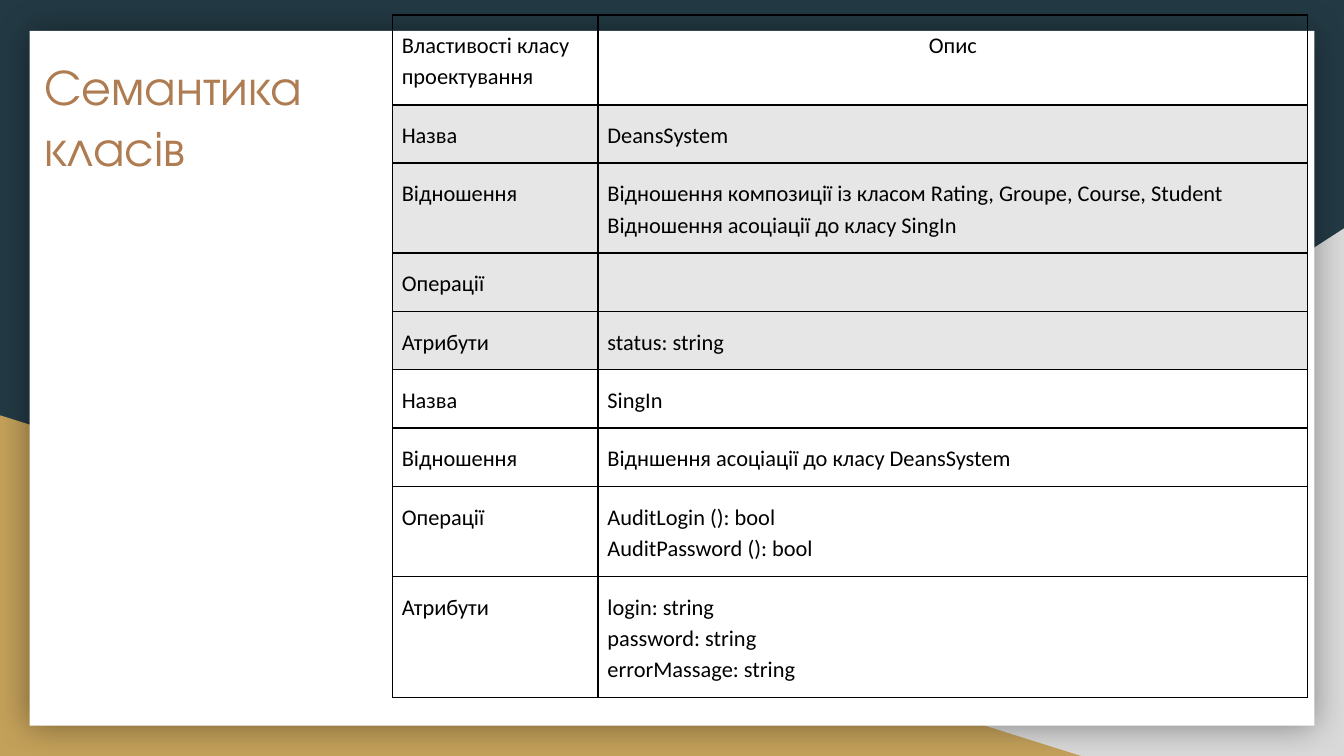
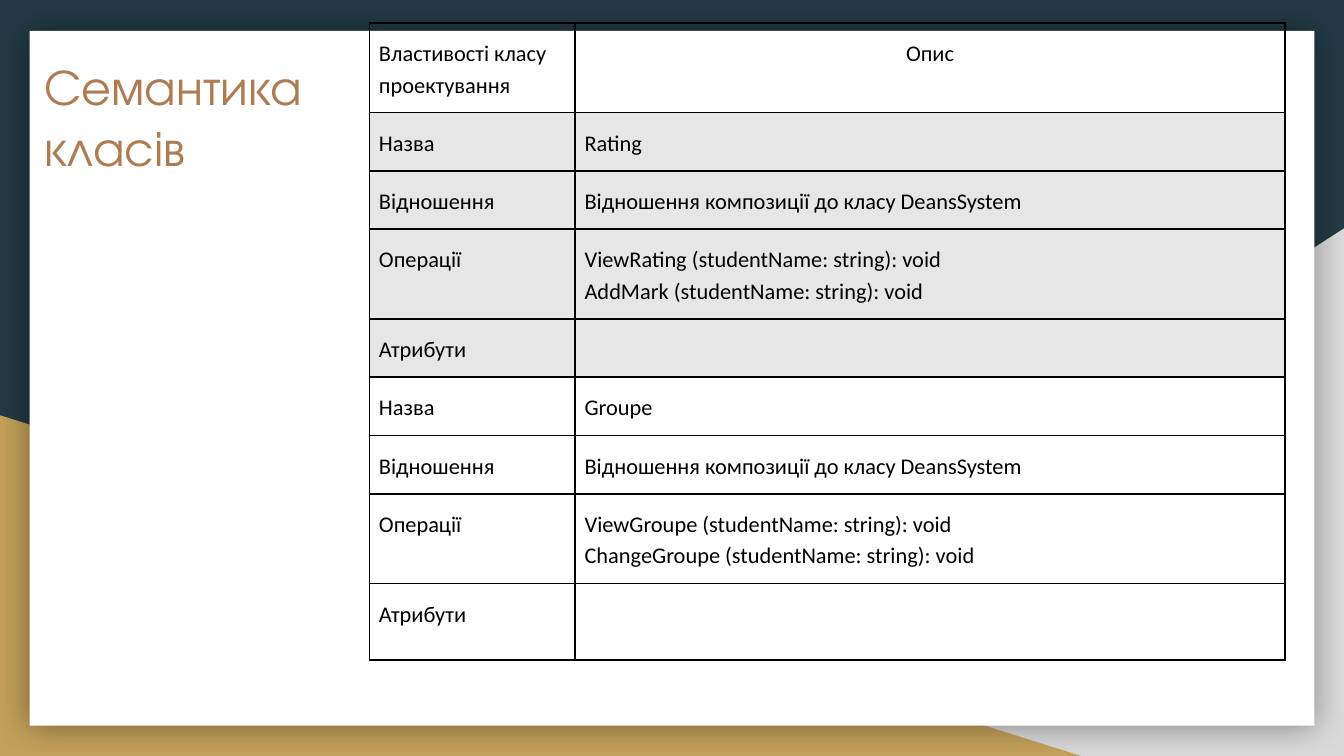
from lxml.etree import SubElement
from pptx import Presentation
from pptx.dml.color import RGBColor
from pptx.enum.shapes import MSO_SHAPE
from pptx.enum.text import MSO_ANCHOR, MSO_AUTO_SIZE, PP_ALIGN
from pptx.oxml.ns import qn
from pptx.util import Inches, Pt

NAVY = RGBColor(0x23, 0x3A, 0x44)
SILVER = RGBColor(0xD9, 0xD9, 0xD9)
GOLD = RGBColor(0xC4, 0xA1, 0x5A)
WHITE = RGBColor(0xFF, 0xFF, 0xFF)
COPPER = RGBColor(0xAF, 0x7B, 0x51)
BLACK = RGBColor(0x00, 0x00, 0x00)
PALE = RGBColor(0xE7, 0xE6, 0xE6)

TITLE_FONT = "TeX Gyre Adventor"
TABLE_FONT = "Calibri"
TITLE_LINES = ["Семантика", "класів"]
HEADER = ("Властивості класу проектування", ["Опис"], None)
PROPERTIES = ["Назва", "Відношення", "Операції", "Атрибути"]
COLUMN_WIDTHS = [1.53, 5.28]
FRAME_SIZE = 3.28


class ClassDeck:
    def __init__(self):
        self.deck = Presentation()
        self.deck.slide_width = Inches(10)
        self.deck.slide_height = Inches(10) * 9 // 16
        self.page = None

    def add_page(self):
        self.page = self.deck.slides.add_slide(self.deck.slide_layouts[5])
        background = self.page.background.fill
        background.solid()
        background.fore_color.rgb = NAVY
        self.add_backdrop()
        self.add_title()

    def add_block(self, kind, left, top, width, height, color):
        block = self.page.shapes.add_shape(
            kind, Inches(left), Inches(top), Inches(width), Inches(height))
        block.shadow.inherit = False
        block.fill.solid()
        block.fill.fore_color.rgb = color
        block.line.fill.background()
        return block

    def add_backdrop(self):
        corner = self.add_block(MSO_SHAPE.RIGHT_TRIANGLE, 3.92, 1.7, 6.08, 3.93, SILVER)
        corner.element.spPr.get_or_add_xfrm().set("flipH", "1")
        self.add_block(MSO_SHAPE.RIGHT_TRIANGLE, 0, 3.09, 8.06, 2.54, GOLD)
        sheet = self.add_block(MSO_SHAPE.RECTANGLE, 0.22, 0.23, 9.56, 5.17, WHITE)
        # Soft shadow around the sheet
        effects = sheet.element.spPr.find(qn("a:effectLst"))
        shadow = SubElement(effects, qn("a:outerShdw"), blurRad=str(Pt(18)),
                            dist="0", dir="0", algn="ctr", rotWithShape="0")
        color = SubElement(shadow, qn("a:srgbClr"), val=str(BLACK))
        SubElement(color, qn("a:alpha"), val="40000")

    def add_title(self):
        title = self.page.shapes.title
        self.page.shapes.element.append(title.element)  # in front of the sheet
        title.left, title.top = Inches(0.23), Inches(0.31)
        title.width, title.height = Inches(8.21), Inches(1.04)
        frame = title.text_frame
        frame.text = "\n".join(TITLE_LINES)
        frame.word_wrap = True
        frame.auto_size = MSO_AUTO_SIZE.NONE
        frame.vertical_anchor = MSO_ANCHOR.TOP
        frame.margin_left = frame.margin_right = Inches(0.1)
        frame.margin_top = frame.margin_bottom = Inches(0.1)
        for para in frame.paragraphs:
            para.alignment = PP_ALIGN.LEFT
            self.set_font(para, TITLE_FONT, 27, COPPER)

    def set_font(self, para, name, size, color):
        para.font.name = name
        para.font.size = Pt(size)
        para.font.color.rgb = color

    def add_table(self, left, top, heights, classes):
        rows = [HEADER]
        for number, descriptions in enumerate(classes):
            fill = PALE if number % 2 == 0 else None
            for name, lines in zip(PROPERTIES, descriptions):
                rows.append((name, lines, fill))

        frame = self.page.shapes.add_table(
            len(rows), len(COLUMN_WIDTHS), Inches(left), Inches(top),
            Inches(FRAME_SIZE), Inches(FRAME_SIZE))
        table = frame.table
        table.first_row = table.horz_banding = False
        for column, width in zip(table.columns, COLUMN_WIDTHS):
            column.width = Inches(width)
        for index, (name, lines, fill) in enumerate(rows):
            table.rows[index].height = Inches(heights[index])
            self.fill_cell(table.cell(index, 0), [name], fill)
            self.fill_cell(table.cell(index, 1), lines, fill)
        table.cell(0, 1).text_frame.paragraphs[0].alignment = PP_ALIGN.CENTER
        frame.width = frame.height = Inches(FRAME_SIZE)

    def fill_cell(self, cell, lines, fill):
        cell.text = "\n".join(lines)
        cell.vertical_anchor = MSO_ANCHOR.TOP
        cell.margin_left = cell.margin_right = Inches(0.07)
        cell.margin_top = cell.margin_bottom = Inches(0.1)
        for para in cell.text_frame.paragraphs:
            para.line_spacing = 1.15
            self.set_font(para, TABLE_FONT, 12, BLACK)
            if not lines:  # keeps an empty row at its height
                SubElement(para._p, qn("a:endParaRPr"), sz="1200")
        self.add_borders(cell)
        if fill is None:
            cell.fill.background()
        else:
            cell.fill.solid()
            cell.fill.fore_color.rgb = fill

    def add_borders(self, cell):
        properties = cell._tc.get_or_add_tcPr()
        for side in ("a:lnL", "a:lnR", "a:lnT", "a:lnB"):
            line = SubElement(properties, qn(side), w=str(Pt(1)))
            paint = SubElement(line, qn("a:solidFill"))
            SubElement(paint, qn("a:srgbClr"), val=str(BLACK))


def main():
    show = ClassDeck()

    # System and sign-in classes
    show.add_page()
    show.add_table(2.92, 0.11, [0.67, 0.43, 0.67, 0.43, 0.43, 0.43, 0.43, 0.67, 0.9], [
        (["DeansSystem"],
         ["Відношення композиції із класом Rating, Groupe, Course, Student",
          "Відношення асоціації до класу SingIn"],
         [],
         ["status: string"]),
        (["SingIn"],
         ["Відншення асоціації до класу DeansSystem"],
         ["AuditLogin (): bool", "AuditPassword (): bool"],
         ["login: string", "password: string", "errorMassage: string"]),
    ])

    # Rating and group classes; rows grow to fit their text
    show.add_page()
    composition = ["Відношення композиції до класу DeansSystem"]
    show.add_table(2.75, 0.17, [0.64, 0.2, 0.39, 0.2, 0.2, 0.2, 0.2, 0.44, 0.57], [
        (["Rating"],
         composition,
         ["ViewRating (studentName: string): void",
          "AddMark (studentName: string): void"],
         []),
        (["Groupe"],
         composition,
         ["ViewGroupe (studentName: string): void",
          "ChangeGroupe (studentName: string): void"],
         []),
    ])

    show.deck.save("out.pptx")


if __name__ == "__main__":
    main()
